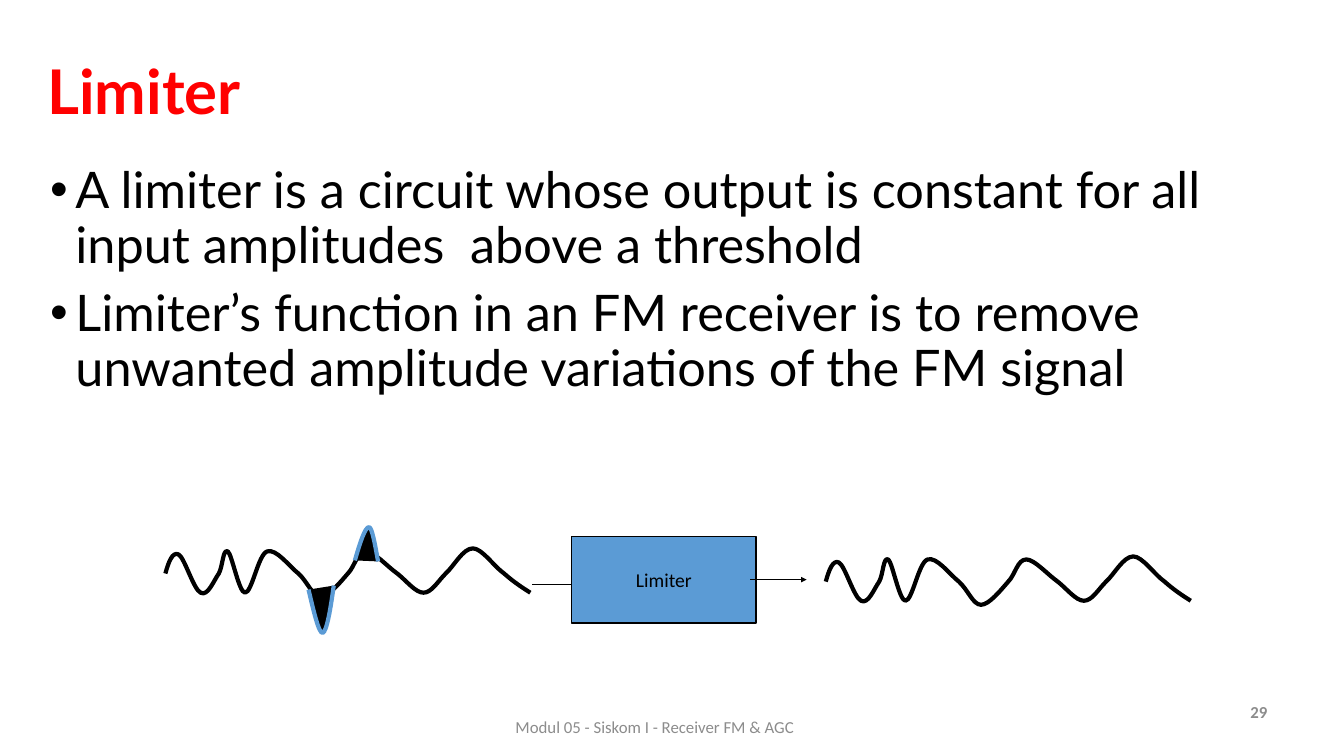
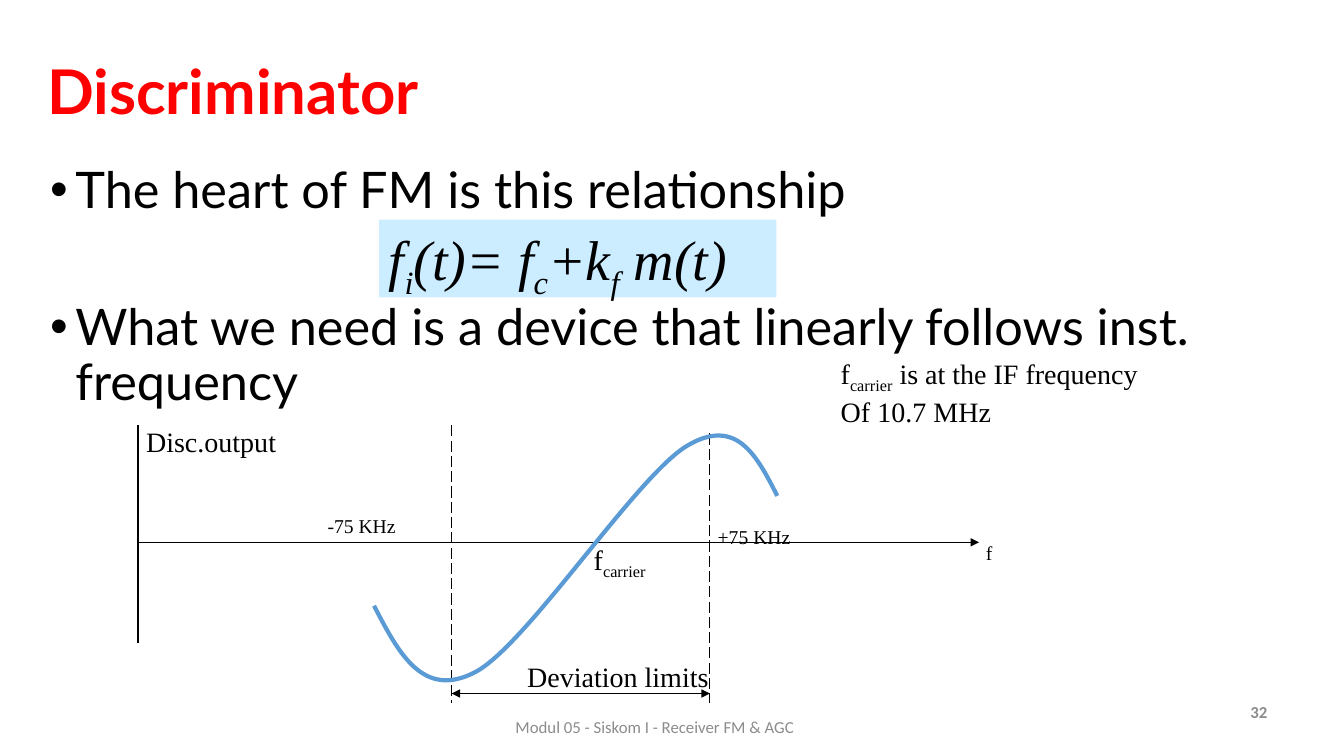
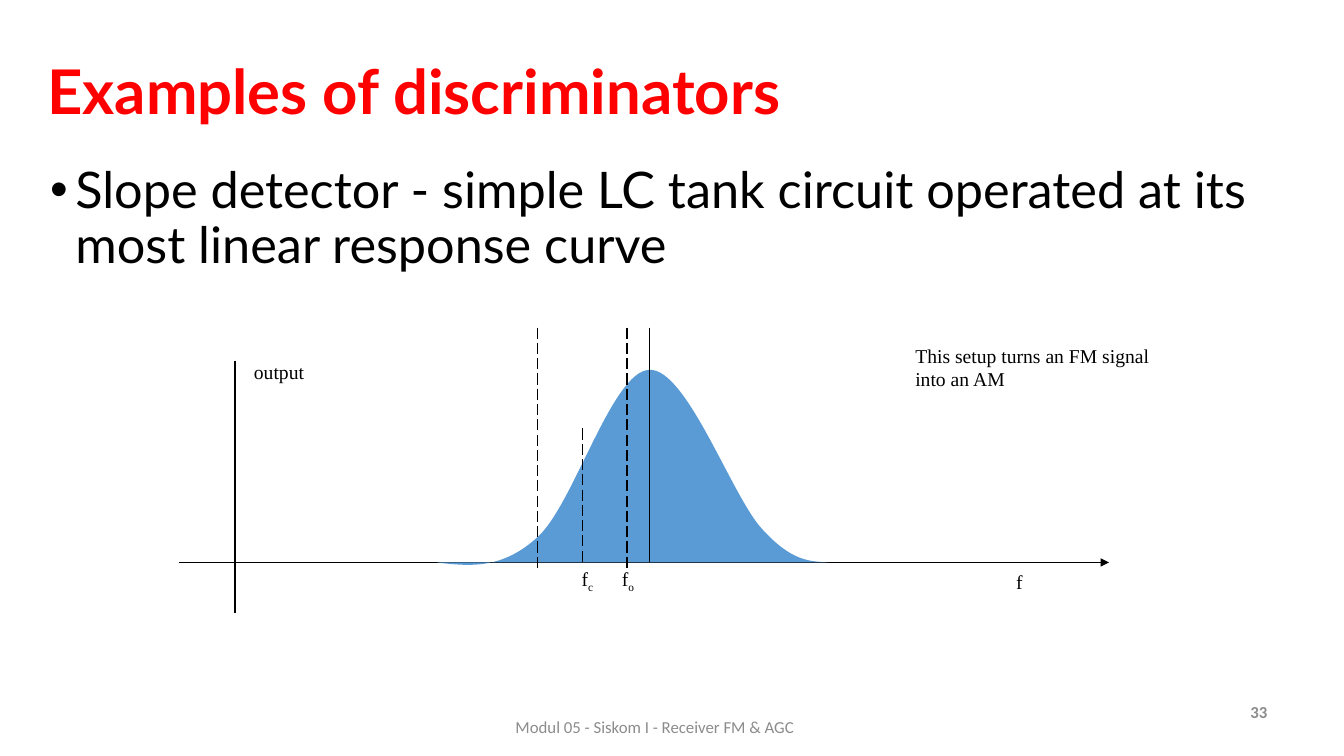
import pptx
import pptx.util
import pptx.dml.color
import pptx.enum.dml
import pptx.enum.shapes
import pptx.enum.text
import pptx.oxml
import pptx.oxml.ns
from dataclasses import dataclass
from lxml import etree

PX = 9144


@dataclass(frozen=True)
class Theme:
    red: str = "FF0000"
    ink: str = "000000"
    grey: str = "8C8C8C"
    blue: str = "5B9BD5"
    pale: str = "CCECFF"
    sans: str = "Lato"
    plain: str = "Calibri"
    serif: str = "Times New Roman"
    title: int = 44
    formula: int = 40
    body: int = 36
    label: int = 20
    small: int = 14
    footer: int = 12
    thin: int = 1
    thick: int = 3


THEME = Theme()
LEFT, CENTER = pptx.enum.text.PP_ALIGN.LEFT, pptx.enum.text.PP_ALIGN.CENTER
TOP, MIDDLE = pptx.enum.text.MSO_ANCHOR.TOP, pptx.enum.text.MSO_ANCHOR.MIDDLE

FOOTER = "Modul 05 - Siskom I - Receiver FM & AGC"
FOOTER_AT = (135, 704, 1029, 34)
NUMBER_AT = (1199, 681, 99, 50)
TITLE_AT = (37, 40, 1204, 107)
BODY_AT = (40, 159, 1256, 517)
BULLET_GAP = 10
FORMULA_GAP = 59

LIMITER_POINTS = [
    "A limiter is a circuit whose output is constant for all input amplitudes  above a threshold",
    "Limiter’s function in an FM receiver is to remove unwanted amplitude variations of the FM signal",
]
DISCRIMINATOR_POINTS = [
    "The heart of FM is this relationship",
    "What we need is a device that linearly follows inst. frequency",
]
EXAMPLE_POINTS = [
    "Slope detector - simple LC tank circuit operated at its most linear response curve",
]

FM_WAVE = [
    (164, 569), (167, 558), (171, 547), (177, 550), (183, 553), (192, 585), (199, 588),
    (206, 592), (212, 576), (217, 569), (221, 562), (221, 544), (226, 547),
    (230, 550), (237, 588), (243, 588), (250, 588), (256, 550), (265, 547),
    (274, 544), (287, 562), (296, 569), (305, 577), (310, 592), (318, 592),
    (326, 592), (338, 577), (345, 569), (352, 562), (354, 547), (363, 547),
    (371, 547), (384, 562), (394, 569), (403, 576), (412, 588), (420, 588),
    (428, 588), (434, 577), (442, 569), (450, 562), (459, 544), (469, 544),
    (478, 544), (490, 562), (500, 569), (509, 577), (518, 583), (526, 588),
]
OUTPUT_SHIFT = (655, 8)
NOISE_SPIKES = [
    [(352, 556), (357, 539), (362, 523), (366, 523), (369, 523), (372, 540), (375, 557)],
    [(306, 585), (311, 606), (316, 628), (320, 628), (324, 627), (328, 604), (331, 581)],
]
LIMITER_AT = (567, 532, 183, 86)

FORMULA = "f_i_(t)= f_c_+k_f_ m(t)"
FORMULA_AT = (376, 218, 394, 77)
S_CURVE = [
    (371, 601), (395, 647), (419, 694), (471, 667), (522, 641),
    (632, 471), (682, 442), (731, 413), (751, 453), (771, 492),
]
S_CURVE_LINES = [
    ((137, 422), (137, 638), {}),
    ((137, 538), (971, 538), {"tail": True}),
    ((448, 422), (448, 697), {"dashed": True}),
    ((704, 430), (704, 697), {"dashed": True}),
    ((448, 688), (704, 688), {"head": True, "tail": True}),
]
S_CURVE_LABELS = [
    (["Disc.output"], (135, 416, 172, 44), THEME.label),
    (["f"], (968, 532, 69, 33), THEME.small),
    (["Deviation limits"], (513, 649, 229, 44), THEME.label),
    (["+75 KHz"], (702, 516, 106, 34), THEME.small),
    (["-75 KHz"], (315, 505, 102, 34), THEME.small),
    (["f_carrier"], (579, 533, 91, 44), THEME.label),
    (["f_carrier_ is at the IF frequency", "Of 10.7 MHz"], (824, 349, 390, 77), THEME.label),
]

RESPONSE = [
    (433, 558), (466, 562), (498, 565), (533, 533), (569, 501), (607, 368), (644, 367),
    (681, 365), (726, 493), (756, 525), (785, 557), (803, 557), (822, 558),
]
RESPONSE_AXES = [
    ((233, 358), (233, 608), {}),
    ((178, 558), (1100, 558), {"tail": True}),
]
RESPONSE_MARKERS = [
    ((644, 325), (644, 558), {}),
    ((578, 425), (578, 558), {"dashed": True}),
    ((533, 325), (533, 567), {"dashed": True}),
    ((622, 325), (622, 567), {"dashed": True}),
]
RESPONSE_LABELS = [
    (["This setup turns an FM signal", "into an AM"], (898, 336, 300, 57), THEME.small),
    (["f_c"], (567, 558, 40, 34), THEME.small),
    (["f_o"], (607, 558, 40, 34), THEME.small),
    (["output"], (242, 352, 79, 34), THEME.small),
    (["f"], (998, 561, 40, 34), THEME.small),
]


def emu(lengths):
    return [length * PX for length in lengths]


def rgb(colour):
    return pptx.dml.color.RGBColor.from_string(colour)


def write(shape, lines, size, font, colour=THEME.ink, bold=None, italic=None,
          align=LEFT, anchor=TOP, bullet_gap=None, spacing=None):
    frame = shape.text_frame
    frame.word_wrap = True
    frame.vertical_anchor = anchor
    for index, line in enumerate(lines):
        paragraph = frame.paragraphs[0] if index == 0 else frame.add_paragraph()
        paragraph.alignment = align
        if spacing:
            paragraph.line_spacing = spacing
        if bullet_gap:
            if index:
                paragraph.space_before = pptx.util.Pt(bullet_gap)
            properties = paragraph._p.get_or_add_pPr()
            properties.set("marL", str(25 * PX))
            properties.set("indent", str(-25 * PX))
            etree.SubElement(properties, pptx.oxml.ns.qn("a:buFont"), typeface="Arial")
            etree.SubElement(properties, pptx.oxml.ns.qn("a:buChar"), char="•")
        style = paragraph.font
        style.size, style.name = pptx.util.Pt(size), font
        style.bold, style.italic = bold, italic
        style.color.rgb = rgb(colour)
        for part, text in enumerate(line.split("_")):
            run = paragraph.add_run()
            run.text = text
            if part % 2:
                run._r.get_or_add_rPr().set("baseline", "-25000")


def add_text(slide, at, lines, size, font, **style):
    write(slide.shapes.add_textbox(*emu(at)), lines, size, font, **style)


def add_labels(slide, labels):
    for lines, at, size in labels:
        add_text(slide, at, lines, size, THEME.serif)


def paint(shape, fill=None, line=None, width=THEME.thin):
    shape.shadow.inherit = False
    if fill:
        shape.fill.solid()
        shape.fill.fore_color.rgb = rgb(fill)
    else:
        shape.fill.background()
    if line:
        shape.line.color.rgb = rgb(line)
        shape.line.width = pptx.util.Pt(width)
    else:
        shape.line.fill.background()


def add_box(slide, at, fill, line=None):
    box = slide.shapes.add_shape(pptx.enum.shapes.MSO_SHAPE.RECTANGLE, *emu(at))
    paint(box, fill, line)
    return box


def add_curve(slide, points, fill=None, line=None):
    builder = slide.shapes.build_freeform(*points[0], scale=PX)
    builder.add_line_segments(points[1:], close=False)
    curve = builder.convert_to_shape()
    segments = curve._element.findall(".//" + pptx.oxml.ns.qn("a:lnTo"))
    for start in range(0, len(segments), 3):
        bezier = etree.SubElement(segments[start].getparent(), pptx.oxml.ns.qn("a:cubicBezTo"))
        for segment in segments[start:start + 3]:
            bezier.append(segment[0])
            segment.getparent().remove(segment)
    paint(curve, fill, line, THEME.thick)


def add_line(slide, start, end, dashed=False, head=False, tail=False, arrow="med"):
    line = slide.shapes.add_connector(
        pptx.enum.shapes.MSO_CONNECTOR.STRAIGHT, *emu(start + end))
    line.line.color.rgb = rgb(THEME.ink)
    line.line.width = pptx.util.Pt(THEME.thin)
    if dashed:
        line.line.dash_style = pptx.enum.dml.MSO_LINE.LONG_DASH
    outline = line.line._get_or_add_ln()
    for wanted, tag in ((head, "a:headEnd"), (tail, "a:tailEnd")):
        if wanted:
            etree.SubElement(outline, pptx.oxml.ns.qn(tag), type="triangle", w=arrow, len=arrow)
    etree.SubElement(line._element.spPr, pptx.oxml.ns.qn("a:effectLst"))


def add_lines(slide, lines):
    for start, end, options in lines:
        add_line(slide, start, end, **options)


def add_page(deck, number, title, points, gap=BULLET_GAP):
    slide = deck.slides.add_slide(deck.slide_layouts[6])
    caption = {"colour": THEME.grey, "align": CENTER, "anchor": MIDDLE}
    add_text(slide, FOOTER_AT, [FOOTER], THEME.footer, THEME.plain, **caption)
    add_text(slide, NUMBER_AT, [str(number)], THEME.footer, THEME.plain, bold=True, **caption)
    add_text(slide, TITLE_AT, [title], THEME.title, THEME.sans, colour=THEME.red,
             bold=True, anchor=MIDDLE, spacing=0.9)
    add_text(slide, BODY_AT, points, THEME.body, THEME.sans, bullet_gap=gap, spacing=0.9)
    return slide


def limiter(deck):
    slide = add_page(deck, 29, "Limiter", LIMITER_POINTS)
    add_curve(slide, FM_WAVE, line=THEME.ink)
    for spike in NOISE_SPIKES:
        add_curve(slide, spike, fill=THEME.ink, line=THEME.blue)
    write(add_box(slide, LIMITER_AT, THEME.blue, THEME.ink), ["Limiter"],
          THEME.small, THEME.plain, align=CENTER, anchor=MIDDLE)
    right, down = OUTPUT_SHIFT
    add_curve(slide, [(x + right, y + down) for x, y in FM_WAVE], line=THEME.ink)
    add_line(slide, (744, 575), (800, 575), tail=True, arrow="sm")
    add_line(slide, (528, 580), (567, 580))


def discriminator(deck):
    slide = add_page(deck, 32, "Discriminator", DISCRIMINATOR_POINTS, FORMULA_GAP)
    write(add_box(slide, FORMULA_AT, THEME.pale), [FORMULA],
          THEME.formula, THEME.serif, italic=True)
    add_lines(slide, S_CURVE_LINES)
    add_curve(slide, S_CURVE, line=THEME.blue)
    add_labels(slide, S_CURVE_LABELS)


def examples(deck):
    slide = add_page(deck, 33, "Examples of discriminators", EXAMPLE_POINTS)
    add_lines(slide, RESPONSE_AXES)
    add_curve(slide, RESPONSE, fill=THEME.blue)
    add_lines(slide, RESPONSE_MARKERS)
    add_labels(slide, RESPONSE_LABELS)


def main():
    deck = pptx.Presentation()
    deck.slide_width, deck.slide_height = emu((1333, 750))
    for build in (limiter, discriminator, examples):
        build(deck)
    deck.save("out.pptx")


if __name__ == "__main__":
    main()
